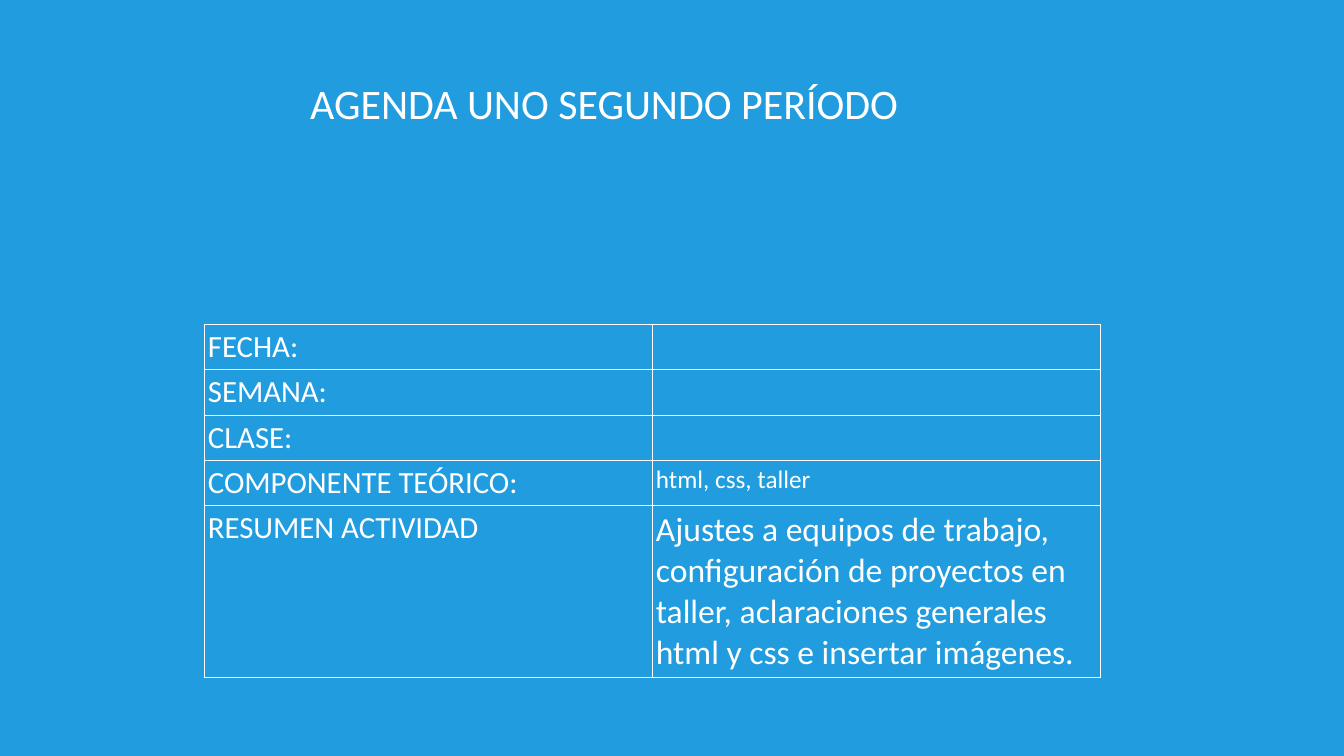
from lxml import etree
from pptx import Presentation
from pptx.dml.color import RGBColor
from pptx.enum.text import MSO_ANCHOR, PP_ALIGN
from pptx.oxml.ns import qn
from pptx.util import Emu, Pt

FONT = "Calibri"
BLUE, WHITE = "219CDE", "FFFFFF"
TITLE = "AGENDA UNO SEGUNDO PERÍODO"
LABEL_SIZE = 22
# label, value, value size
ROWS = [
    ("FECHA:", "", LABEL_SIZE),
    ("SEMANA:", "", LABEL_SIZE),
    ("CLASE:", "", LABEL_SIZE),
    ("COMPONENTE TEÓRICO:", "html, css, taller", 18),
    ("RESUMEN ACTIVIDAD",
     "Ajustes a equipos de trabajo, configuración de proyectos en taller, "
     "aclaraciones generales html y css e insertar imágenes.", 24),
]


def px(n):
    return Emu(round(n * 914400 / 100.8))


def color(value):
    return RGBColor.from_string(value)


def write(tf, text, size):
    tf.text = text
    p = tf.paragraphs[0]
    p.alignment = PP_ALIGN.LEFT
    for font in [p.font] + [r.font for r in p.runs]:
        font.name, font.size = FONT, Pt(size)
        font.color.rgb = color(WHITE)


def border_cell(cell):
    tcPr = cell._tc.get_or_add_tcPr()
    for i, side in enumerate(("a:lnL", "a:lnR", "a:lnT", "a:lnB")):
        ln = etree.Element(qn(side), w=str(Pt(0.5)))
        fill = etree.SubElement(ln, qn("a:solidFill"))
        etree.SubElement(fill, qn("a:srgbClr"), val=WHITE)
        tcPr.insert(i, ln)


def add_title(s, x, y, w, h):
    sp = s.shapes.title
    sp.left, sp.top, sp.width, sp.height = map(px, (x, y, w, h))
    tf = sp.text_frame
    tf.word_wrap = True
    tf.vertical_anchor = MSO_ANCHOR.TOP
    write(tf, TITLE, 30)


def add_agenda(s, x, y, w, h):
    row_h = 45
    frame = s.shapes.add_table(len(ROWS), 2, px(x), px(y), px(w), px(h))
    table = frame.table
    table.first_row = table.horz_banding = False
    for col in table.columns:
        col.width = px(w // 2)
    for row in table.rows:
        row.height = px(row_h)
    table.rows[len(ROWS) - 1].height = px(h - row_h * (len(ROWS) - 1))

    for i, (label, value, size) in enumerate(ROWS):
        for j, (text, pt) in enumerate(((label, LABEL_SIZE), (value, size))):
            cell = table.cell(i, j)
            cell.margin_left = cell.margin_right = px(4)
            cell.margin_top = cell.margin_bottom = px(4)
            cell.fill.background()
            border_cell(cell)
            write(cell.text_frame, text, pt)


def main():
    prs = Presentation()
    prs.slide_width, prs.slide_height = px(1344), px(756)
    s = prs.slides.add_slide(prs.slide_layouts[5])

    # Background
    s.background.fill.solid()
    s.background.fill.fore_color.rgb = color(BLUE)

    # Heading and agenda table
    add_title(s, 300, 72, 688, 60)
    add_agenda(s, 204, 324, 896, 352)
    prs.save("out.pptx")


if __name__ == "__main__":
    main()
